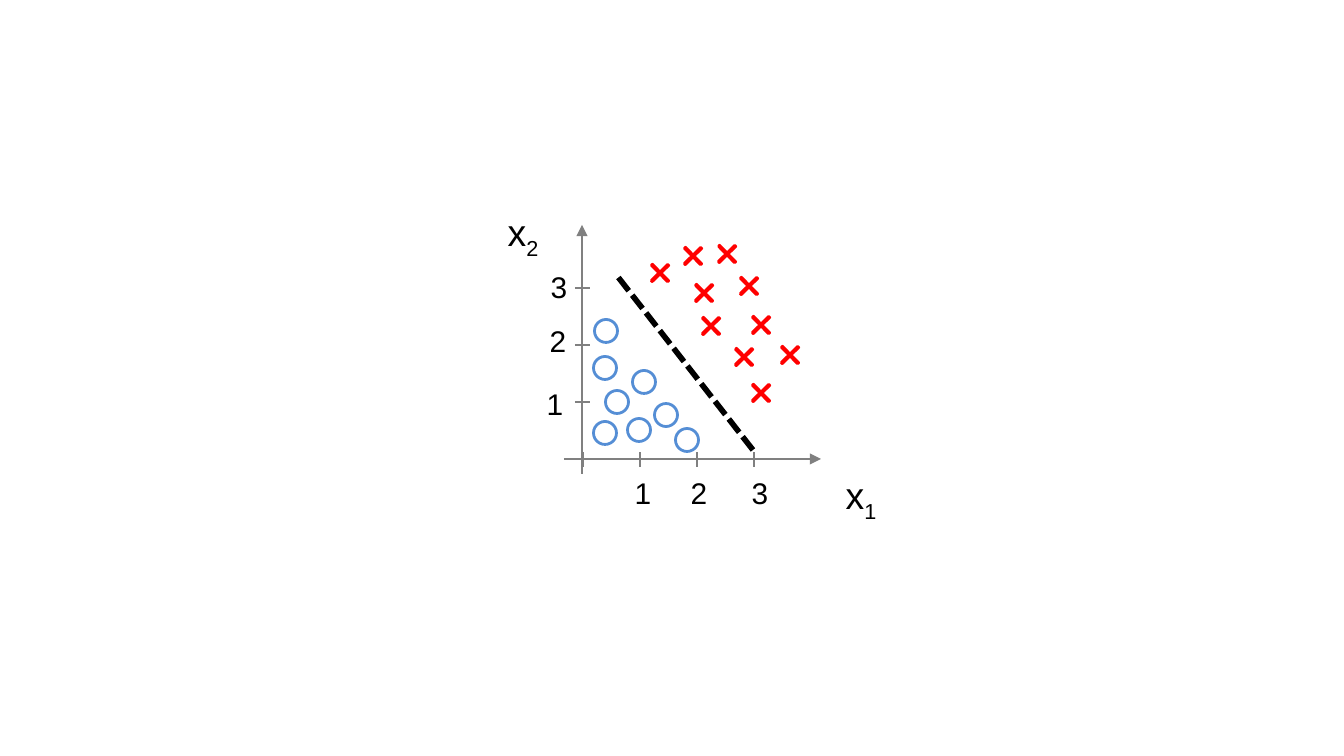
import pptx
import pptx.util
import pptx.dml.color
import pptx.enum.dml
import pptx.enum.shapes
import pptx.enum.text
import pptx.oxml.ns
from lxml import etree

# Content, in px (134.4 px to the inch)
ORIGIN, UNIT = (583, 459), 57
TICKS = range(4)
AXES = [((582, 474), (582, 225)), ((564, 459), (821, 459))]
BOUNDARY = ((753, 450), (618, 277))
CIRCLES = [(605, 368), (617, 402), (606, 331), (644, 382),
           (639, 430), (666, 415), (605, 433), (687, 440)]
CROSSES = [(711, 326), (660, 273), (704, 293), (693, 256), (749, 286),
           (761, 325), (744, 357), (761, 393), (790, 355), (727, 254)]
AXIS_NAMES = [("1", 839, 466), ("2", 501, 203)]
NUMBERS = [("1", 628, 468), ("2", 684, 468), ("3", 745, 468),
           ("1", 540, 379), ("2", 543, 316), ("3", 544, 262)]
MARK = 23
GREY, BLUE, RED, BLACK = "808080", "558ED5", "FF0000", "000000"


def px(n):
    return pptx.util.Emu(round(n * 914400 / 134.4))


def rgb(value):
    return pptx.dml.color.RGBColor.from_string(value)


def add_line(start, end, color, width=1.5, arrow=False):
    sp = shapes.add_connector(pptx.enum.shapes.MSO_CONNECTOR.STRAIGHT,
                              *map(px, (*start, *end)))
    sp.line.color.rgb = rgb(color)
    sp.line.width = pptx.util.Pt(width)
    if arrow:
        etree.SubElement(sp.line._get_or_add_ln(),
                         pptx.oxml.ns.qn("a:tailEnd"), type="triangle")
    etree.SubElement(sp._element.spPr, pptx.oxml.ns.qn("a:effectLst"))
    return sp


def add_mark(kind, center, color):
    x, y = center
    sp = shapes.add_shape(kind, px(x - MARK / 2), px(y - MARK / 2),
                          px(MARK), px(MARK))
    sp.shadow.inherit = False
    sp.fill.background()
    sp.line.color.rgb = rgb(color)
    sp.line.width = pptx.util.Pt(1.5)
    return sp


def add_label(runs, x, y, w, h, size, wrap):
    tf = shapes.add_textbox(px(x), px(y), px(w), px(h)).text_frame
    tf.margin_left = tf.margin_right = pptx.util.Inches(0.05)
    tf.margin_top = tf.margin_bottom = pptx.util.Inches(0.05)
    tf.word_wrap = wrap
    tf.auto_size = pptx.enum.text.MSO_AUTO_SIZE.SHAPE_TO_FIT_TEXT
    p = tf.paragraphs[0]
    for text, baseline in runs:
        r = p.add_run()
        r.text = text
        r.font.name = "Arial"
        r.font.size = pptx.util.Pt(size)
        r.font.color.rgb = rgb(BLACK)
        if baseline:
            r.font._element.set("baseline", str(baseline))


prs = pptx.Presentation()
prs.slide_width, prs.slide_height = px(1344), px(756)
shapes = prs.slides.add_slide(prs.slide_layouts[6]).shapes

# Axis names
for index, x, y in AXIS_NAMES:
    add_label([("x", 0), (index, -25000)], x, y, 48, 66, 20, False)

# Axes and their ticks
for start, end in AXES:
    add_line(start, end, GREY, arrow=True)
for i in TICKS:
    x, y = ORIGIN[0] + i * UNIT, ORIGIN[1] - i * UNIT
    add_line((575, y), (590, y), GREY)
    add_line((x, 467), (x, 452), GREY)

# The two classes of points
for center in CIRCLES:
    add_mark(pptx.enum.shapes.MSO_SHAPE.OVAL, center, BLUE)
for center in CROSSES:
    sp = add_mark(pptx.enum.shapes.MSO_SHAPE.CROSS, center, RED)
    sp.adjustments[0] = 0.47
    sp.rotation = 45.6
    sp.fill.solid()
    sp.fill.fore_color.rgb = rgb(BLACK)

# Tick numbers
for text, x, y in NUMBERS:
    add_label([(text, 0)], x, y, 27, 48, 16, True)

# Decision boundary
sp = add_line(*BOUNDARY, BLACK, 3)
sp.line.dash_style = pptx.enum.dml.MSO_LINE.SQUARE_DOT
sp.line._get_or_add_ln().find(pptx.oxml.ns.qn("a:prstDash")).set("val", "sysDash")

prs.save("out.pptx")
